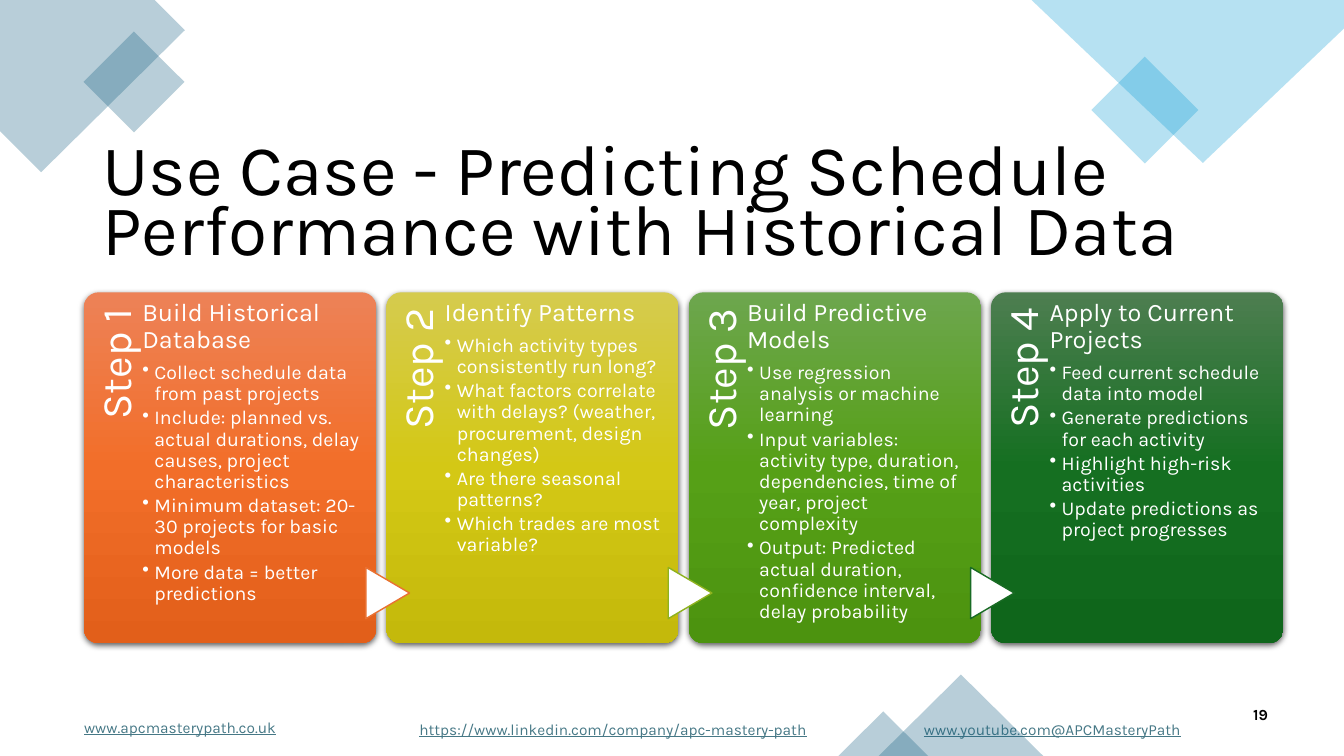
from lxml import etree
from pptx import Presentation
from pptx import util as u
from pptx.dml.color import RGBColor
from pptx.enum import shapes, text
from pptx.oxml import ns
from copy import deepcopy

# Grid: 160 columns by 90 rows of square cells, twelve to the inch
CELL = u.Inches(1) // 12
COLUMNS, ROWS = 160, 90
CARD_LEFT, CARD_TOP, CARD_PITCH = 10, 34.8, 36
CARD_WIDTH, CARD_HEIGHT = 34.8, 41.76

COLORS = {"teal": "156082", "sky": "0F9ED5", "link": "467886",
          "black": "000000", "white": "FFFFFF"}

FORMATS = {
    "title": {"size": u.Pt(51), "color": "black"},
    "step": {"size": u.Pt(30), "color": "white"},
    "heading": {"size": u.Pt(18), "color": "white"},
    "bullet": {"size": u.Pt(14), "color": "white"},
    "link": {"size": u.Pt(11), "color": "link", "underline": True},
    "number": {"size": u.Pt(11), "color": "black", "bold": True},
}
PARAGRAPHS = {
    "title": {"line_spacing": 0.7, "space_after": u.Pt(6)},
    "step": {"line_spacing": 0.9, "alignment": text.PP_ALIGN.RIGHT},
    "heading": {"line_spacing": 0.9, "space_after": u.Pt(6.3)},
    "bullet": {"line_spacing": 0.9, "space_after": u.Pt(2.1), "level": 1},
    "link": {"alignment": text.PP_ALIGN.CENTER},
    "number": {},
}

# Each step: heading, gradient, outline of the arrow leading into it, bullets
STEPS = [
    ("Build Historical Database", ("ED8257", "F26E29", "E25F1A"), None,
     ["Collect schedule data from past projects",
      "Include: planned vs. actual durations, delay causes, project characteristics",
      "Minimum dataset: 20-30 projects for basic models",
      "More data = better predictions"]),
    ("Identify Patterns", ("D5CB4E", "D4C815", "C4B90B"), "E97132",
     ["Which activity types consistently run long?",
      "What factors correlate with delays? (weather, procurement, design changes)",
      "Are there seasonal patterns?",
      "Which trades are most variable?"]),
    ("Build Predictive Models", ("6DA64E", "56A017", "4C930F"), "8EB21E",
     ["Use regression analysis or machine learning",
      "Input variables: activity type, duration, dependencies, time of year, project complexity",
      "Output: Predicted actual duration, confidence interval, delay probability"]),
    ("Apply to Current Projects", ("4D7E50", "156F21", "0F661B"), "196B24",
     ["Feed current schedule data into model",
      "Generate predictions for each activity",
      "Highlight high-risk activities",
      "Update predictions as project progresses"]),
]

LINKS = [
    ("www.youtube.com@APCMasteryPath", (107.3, 84.4, 36, 4.8)),
    ("https://www.linkedin.com/company/apc-mastery-path", (46, 84.4, 54, 4.8)),
    ("www.apcmasterypath.co.uk", (4.3, 84.2, 34.3, 4.8)),
]


def cells(*counts):
    return [round(count * CELL) for count in counts]


def set_all(target, values):
    for name, value in values.items():
        setattr(target, name, value)


def add_xml(parent, tag, **attributes):
    return etree.SubElement(parent, ns.qn(tag), attributes)


def paint(shape, color, opacity=None):
    shape.shadow.inherit = False
    shape.line.fill.background()
    shape.fill.solid()
    shape.fill.fore_color.rgb = RGBColor.from_string(color)
    if opacity:
        fill_color = shape.element.spPr.find(".//" + ns.qn("a:srgbClr"))
        add_xml(fill_color, "a:alpha", val=str(opacity * 1000))


def add_preset(slide, kind, area, color, opacity=None, rotation=0):
    shape = slide.shapes.add_shape(kind, *cells(*area))
    shape.rotation = rotation
    paint(shape, color, opacity)
    return shape


def add_outline(slide, points, color, opacity):
    corners = [cells(*point) for point in points]
    builder = slide.shapes.build_freeform(*corners[0], scale=1.0)
    builder.add_line_segments(corners[1:], close=True)
    paint(builder.convert_to_shape(), color, opacity)


def write(paragraph, words, style):
    if style == "bullet":
        properties = paragraph._p.get_or_add_pPr()
        properties.set("marL", str(u.Inches(0.12)))
        properties.set("indent", str(-u.Inches(0.12)))
        add_xml(properties, "a:buChar", char="•")
    set_all(paragraph, PARAGRAPHS[style])
    run = paragraph.add_run()
    run.text = words
    values = dict(FORMATS[style], name="Karla")
    run.font.color.rgb = RGBColor.from_string(COLORS[values.pop("color")])
    set_all(run.font, values)


def add_text(slide, area, lines, anchor=text.MSO_ANCHOR.TOP, insets=None, rotation=0):
    box = slide.shapes.add_textbox(*cells(*area))
    box.rotation = rotation
    frame = box.text_frame
    set_all(frame, {"word_wrap": True, "vertical_anchor": anchor})
    if insets:
        sides = ("margin_left", "margin_top", "margin_right", "margin_bottom")
        set_all(frame, dict(zip(sides, map(u.Inches, insets))))
    for index, (words, style) in enumerate(lines):
        paragraph = frame.add_paragraph() if index else frame.paragraphs[0]
        write(paragraph, words, style)


def add_card(slide, left, gradient):
    card = add_preset(slide, shapes.MSO_SHAPE.ROUNDED_RECTANGLE,
                      (left, CARD_TOP, CARD_WIDTH, CARD_HEIGHT), gradient[0])
    card.adjustments[0] = 0.05
    # Three-stop gradient running downwards
    card.fill.gradient()
    card.fill.gradient_angle = 270
    stop_list = card.element.spPr.find(".//" + ns.qn("a:gsLst"))
    stop_list.append(deepcopy(stop_list[0]))
    for stop, color, position in zip(card.fill.gradient_stops, gradient, (0, 0.5, 1)):
        stop.color.rgb = RGBColor.from_string(color)
        stop.position = position
    # Soft shadow below the card
    effects = card.element.spPr.find(ns.qn("a:effectLst"))
    shadow = add_xml(effects, "a:outerShdw", blurRad=str(u.Pt(4.5)),
                     dist=str(u.Pt(1.5)), dir="5400000", rotWithShape="0")
    shadow_color = add_xml(shadow, "a:srgbClr", val=COLORS["black"])
    add_xml(shadow_color, "a:alpha", val="63000")


def add_step(slide, index, heading, gradient, arrow_line, bullets):
    left = CARD_LEFT + index * CARD_PITCH
    add_card(slide, left, gradient)
    add_text(slide, (left - 13.6, 48.5, 34.2, 7), [(f"Step {index + 1}", "step")],
             insets=(0, 0.11, 0.15, 0), rotation=270)
    if arrow_line:
        arrow = add_preset(slide, shapes.MSO_SHAPE.FLOWCHART_EXTRACT,
                           (left - 2.9, 68, 6.1, 5.2), COLORS["white"], rotation=90)
        arrow.line.color.rgb = RGBColor.from_string(arrow_line)
        arrow.line.width = u.Pt(1)
    lines = [(heading, "heading")] + [(bullet, "bullet") for bullet in bullets]
    add_text(slide, (left + 6.95, CARD_TOP, 25.9, CARD_HEIGHT), lines,
             insets=(0, 0.07, 0, 0))


def add_decorations(slide):
    teal, sky = COLORS["teal"], COLORS["sky"]
    diamond, triangle = shapes.MSO_SHAPE.RECTANGLE, shapes.MSO_SHAPE.ISOSCELES_TRIANGLE
    add_outline(slide, [(0, 0), (18.4, 0), (22, 3.6), (4.9, 20.5), (0, 15.6)], teal, 30)
    add_preset(slide, diamond, (11.7, 5.5, 8.5, 8.5), teal, 30, 315)
    add_preset(slide, diamond, (131.8, 8.6, 9, 9), sky, 30, 315)
    add_outline(slide, [(COLUMNS, 0), (122.8, 0), (143.2, 19.4), (COLUMNS, 3.4)], sky, 30)
    add_preset(slide, triangle, (104.6, 80.3, 19.6, 9.7), teal, 30)
    add_preset(slide, triangle, (99.8, 84.7, 10.7, 5.3), teal, 30)


def main():
    presentation = Presentation()
    presentation.slide_width, presentation.slide_height = cells(COLUMNS, ROWS)
    slide = presentation.slides.add_slide(presentation.slide_layouts[6])

    # Footer links and corner decorations
    for address, area in LINKS:
        add_text(slide, area, [(address, "link")], text.MSO_ANCHOR.MIDDLE)
    add_decorations(slide)

    # Title
    add_text(slide, (11, 15, 138, 17.4),
             [("Use Case - Predicting Schedule Performance with Historical Data", "title")],
             text.MSO_ANCHOR.BOTTOM)

    # Step cards
    for index, step in enumerate(STEPS):
        add_step(slide, index, *step)

    # Slide number
    add_text(slide, (148, 83.4, 4.6, 4.8), [("19", "number")])
    presentation.save("out.pptx")


if __name__ == "__main__":
    main()
